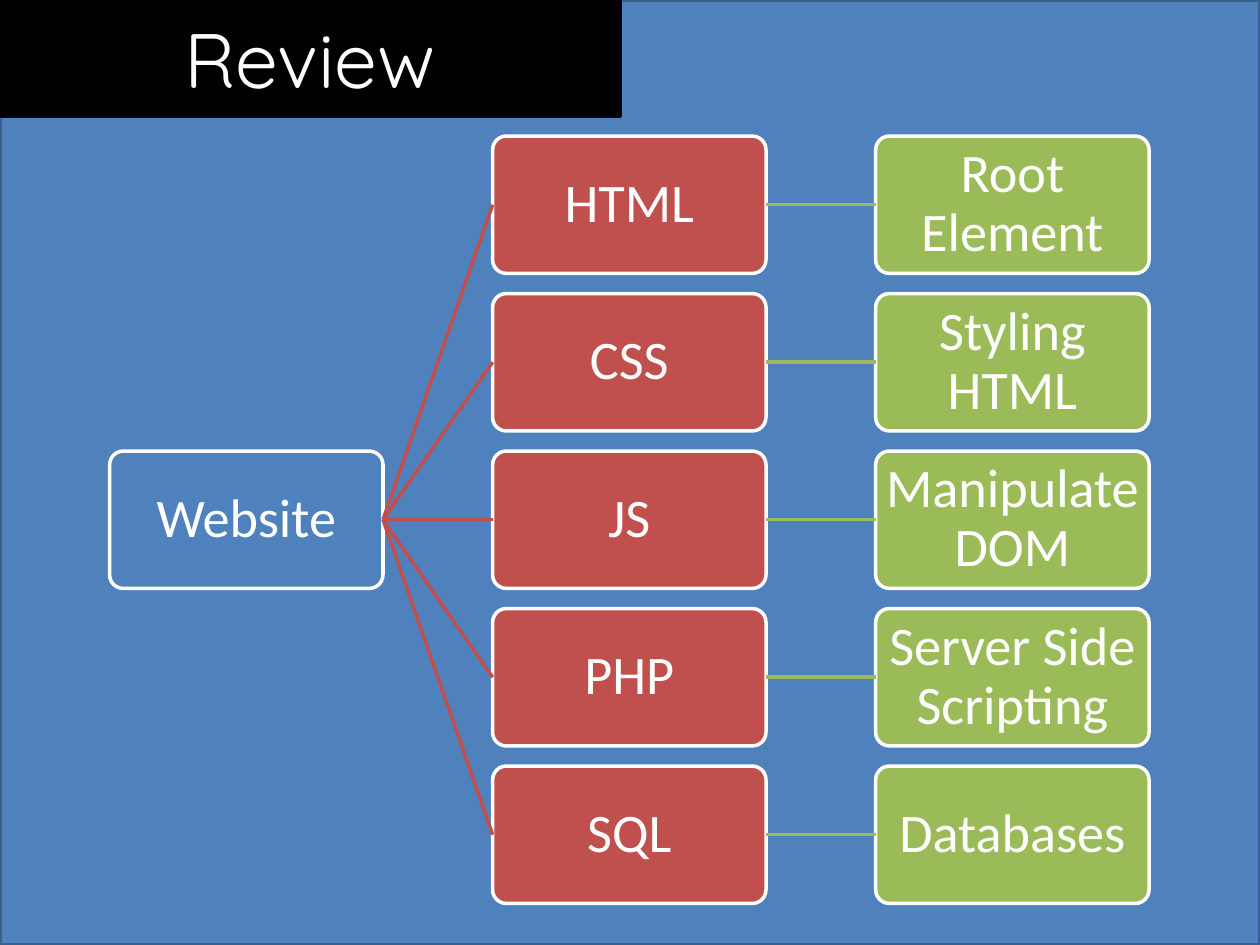
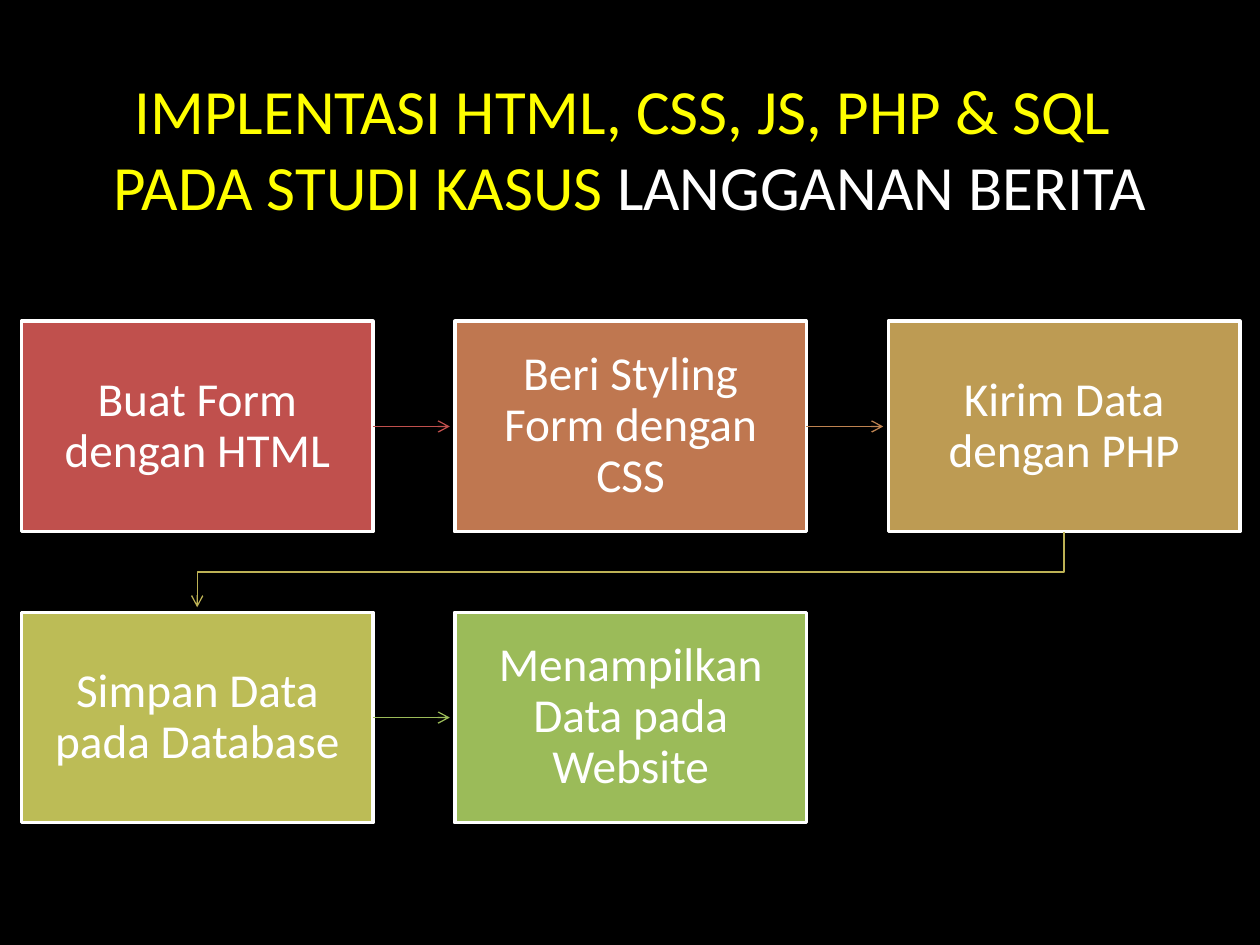
import pptx
import pptx.dml.color
import pptx.enum.shapes
import pptx.enum.text
import pptx.oxml.ns
import pptx.util
from lxml import etree

Inches = pptx.util.Inches
Pt = pptx.util.Pt
RGBColor = pptx.dml.color.RGBColor
qn = pptx.oxml.ns.qn
ShapeType = pptx.enum.shapes.MSO_SHAPE
Connector = pptx.enum.shapes.MSO_CONNECTOR
CENTER = pptx.enum.text.PP_ALIGN.CENTER

WHITE = RGBColor(0xFF, 0xFF, 0xFF)
BLACK = RGBColor(0x00, 0x00, 0x00)
YELLOW = RGBColor(0xFF, 0xFF, 0x00)
BLUE = RGBColor(0x4F, 0x81, 0xBD)
DARK_BLUE = RGBColor(0x3A, 0x5F, 0x8C)
RED = RGBColor(0xC0, 0x50, 0x4D)
GREEN = RGBColor(0x9B, 0xBB, 0x59)
ORANGE = RGBColor(0xBF, 0x77, 0x50)
GOLD = RGBColor(0xBD, 0x9B, 0x53)
OLIVE = RGBColor(0xBC, 0xBC, 0x56)
ORANGE_ARROW = RGBColor(0xBE, 0x83, 0x51)
GOLD_ARROW = RGBColor(0xBD, 0xB2, 0x55)
BODY_FONT = "Calibri"
TITLE_FONT = "Quicksand"


def add_box(slide, kind, bounds, fill, line=WHITE, text="", size=31,
            font=BODY_FONT, inset=0.03, spacing=0.9):
    """Add a filled, outlined shape with centred white text; bounds in inches."""
    box = slide.shapes.add_shape(kind, *[Inches(value) for value in bounds])
    box.shadow.inherit = False
    box.fill.solid()
    box.fill.fore_color.rgb = fill
    box.line.color.rgb = line
    box.line.width = Pt(2)
    if kind == ShapeType.ROUNDED_RECTANGLE:
        box.adjustments[0] = 0.1
    if text:
        frame = box.text_frame
        frame.word_wrap = True
        frame.vertical_anchor = pptx.enum.text.MSO_ANCHOR.MIDDLE
        frame.margin_left = frame.margin_right = Inches(inset)
        frame.margin_top = frame.margin_bottom = Inches(inset)
        paragraph = frame.paragraphs[0]
        paragraph.alignment = CENTER
        paragraph.line_spacing = spacing
        run = paragraph.add_run()
        run.text = text
        run.font.name = font
        run.font.size = Pt(size)
        run.font.color.rgb = WHITE
    return box


def style_line(shape, color, width, arrow=False):
    """Colour a connector or open path, drop its shadow, optionally add an arrowhead."""
    shape.line.color.rgb = color
    shape.line.width = Pt(width)
    properties = shape._element.spPr
    if arrow:
        etree.SubElement(properties.find(qn("a:ln")), qn("a:tailEnd"), type="arrow")
    etree.SubElement(properties, qn("a:effectLst"))


presentation = pptx.Presentation()
presentation.slide_width = Inches(10)
presentation.slide_height = Inches(7.5)
blank_layout = presentation.slide_layouts[6]

# Slide 1: topic tree
slide = presentation.slides.add_slide(blank_layout)
add_box(slide, ShapeType.RECTANGLE, (0, 0, 10, 7.5), BLUE, DARK_BLUE)

TOPICS = [
    ("HTML", "Root Element"),
    ("CSS", "Styling HTML"),
    ("JS", "Manipulate DOM"),
    ("PHP", "Server Side Scripting"),
    ("SQL", "Databases"),
]
NODE_WIDTH, NODE_HEIGHT = 2.17, 1.09
website_left, topic_left, detail_left = [0.87 + 3.04 * column for column in range(3)]
first_top, row_pitch = 1.08, 1.25

website = add_box(slide, ShapeType.ROUNDED_RECTANGLE,
                  (website_left, first_top + 2 * row_pitch, NODE_WIDTH, NODE_HEIGHT),
                  BLUE, text="Website")
for row, (topic, detail) in enumerate(TOPICS):
    top = first_top + row * row_pitch
    parent = website
    for left, text, color in ((topic_left, topic, RED), (detail_left, detail, GREEN)):
        node = add_box(slide, ShapeType.ROUNDED_RECTANGLE,
                       (left, top, NODE_WIDTH, NODE_HEIGHT), color, text=text)
        branch = slide.shapes.add_connector(Connector.STRAIGHT, 0, 0, 0, 0)
        branch.begin_connect(parent, 3)
        branch.end_connect(node, 1)
        style_line(branch, color, 2)
        parent = node

add_box(slide, ShapeType.RECTANGLE, (0, 0, 4.92, 0.92), BLACK, BLACK,
        "Review", 44, TITLE_FONT, inset=0.05, spacing=1.0)

# Slide 2: process steps
slide = presentation.slides.add_slide(blank_layout)
slide.background.fill.solid()
slide.background.fill.fore_color.rgb = BLACK

TITLE_LINES = [
    [("IMPLENTASI HTML, CSS, JS, PHP & SQL ", YELLOW)],
    [("PADA STUDI KASUS ", YELLOW), ("LANGGANAN BERITA", WHITE)],
]
title = slide.shapes.add_textbox(Inches(0.76), Inches(0.52), Inches(8.48), Inches(1.31))
title_frame = title.text_frame
title_frame.word_wrap = False
title_frame.auto_size = pptx.enum.text.MSO_AUTO_SIZE.SHAPE_TO_FIT_TEXT
for index, line in enumerate(TITLE_LINES):
    paragraph = title_frame.add_paragraph() if index else title_frame.paragraphs[0]
    paragraph.alignment = CENTER
    for text, color in line:
        run = paragraph.add_run()
        run.text = text
        run.font.name = BODY_FONT
        run.font.size = Pt(36)
        run.font.color.rgb = color

# Text, box colour, colour of the arrow to the next step
STEPS = [
    ("Buat Form dengan HTML", RED, RED),
    ("Beri Styling Form dengan CSS", ORANGE, ORANGE_ARROW),
    ("Kirim Data dengan PHP", GOLD, GOLD_ARROW),
    ("Simpan Data pada Database", OLIVE, GREEN),
    ("Menampilkan Data pada Website", GREEN, None),
]
STEP_WIDTH, STEP_HEIGHT = 2.79, 1.67
STEP_LEFT, STEP_TOP = 0.17, 2.55
COLUMN_PITCH, ROW_PITCH = 3.44, 2.31
COLUMNS = 3
ARROW_GAP = 0.04

for index, (text, color, arrow_color) in enumerate(STEPS):
    row, column = divmod(index, COLUMNS)
    left = STEP_LEFT + column * COLUMN_PITCH
    top = STEP_TOP + row * ROW_PITCH
    step = add_box(slide, ShapeType.RECTANGLE, (left, top, STEP_WIDTH, STEP_HEIGHT),
                   color, text=text, size=27, inset=0.21)
    if arrow_color is None:
        continue
    if column < COLUMNS - 1:
        middle = Inches(top + STEP_HEIGHT / 2)
        arrow = slide.shapes.add_connector(
            Connector.STRAIGHT, Inches(left + STEP_WIDTH), middle,
            Inches(left + COLUMN_PITCH - ARROW_GAP), middle)
        arrow.begin_connect(step, 3)
    else:
        start_x = Inches(left + STEP_WIDTH / 2)
        end_x = Inches(STEP_LEFT + STEP_WIDTH / 2)
        bottom = top + STEP_HEIGHT
        turn_y = Inches((bottom + top + ROW_PITCH) / 2)
        builder = slide.shapes.build_freeform(start_x, Inches(bottom))
        builder.add_line_segments(
            [(start_x, turn_y), (end_x, turn_y),
             (end_x, Inches(top + ROW_PITCH - ARROW_GAP))], close=False)
        arrow = builder.convert_to_shape()
        arrow.fill.background()
    style_line(arrow, arrow_color, 0.75, arrow=True)

presentation.save("out.pptx")
